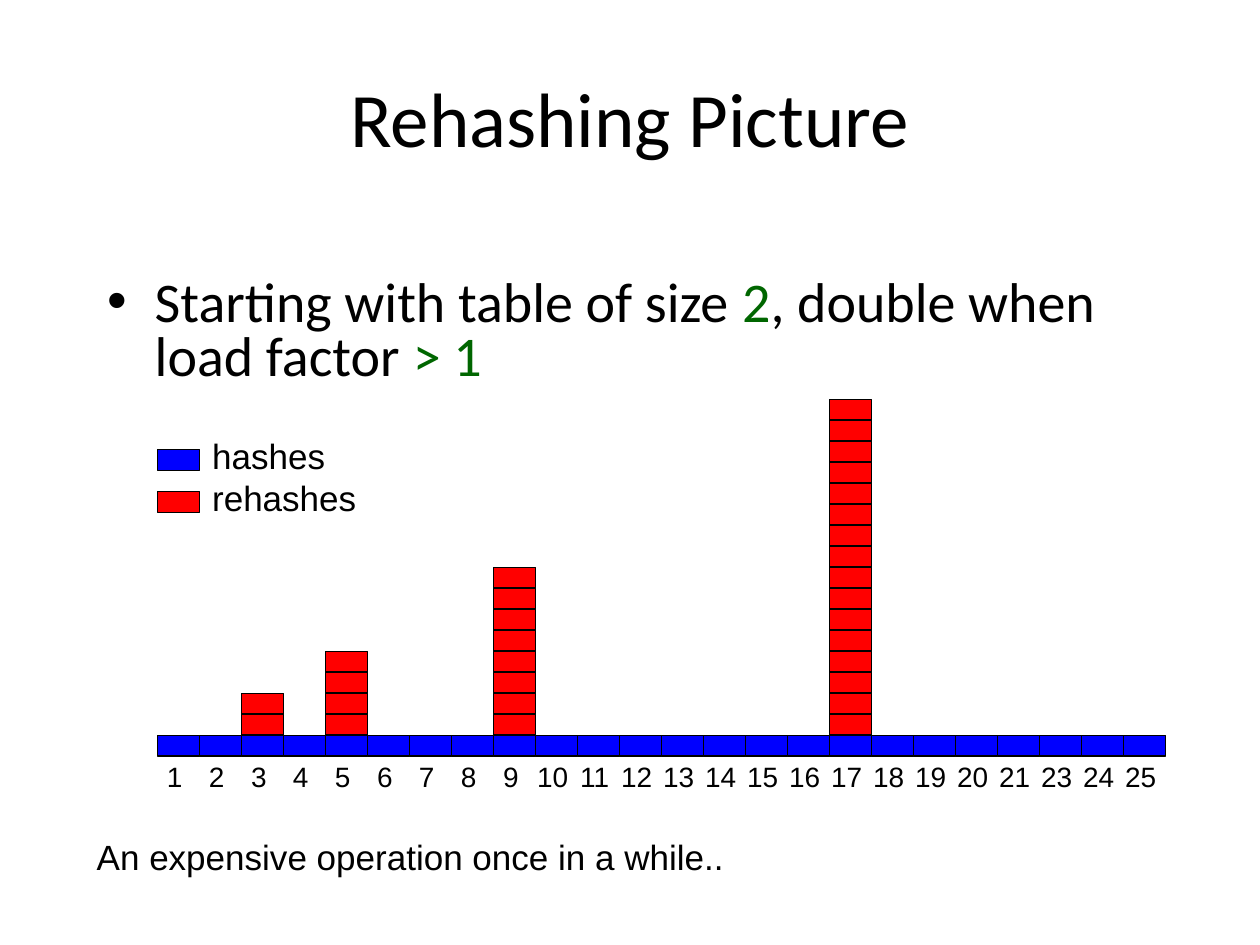
from lxml.etree import SubElement
from pptx import Presentation
from pptx.dml.color import RGBColor
from pptx.enum.shapes import MSO_SHAPE
from pptx.enum.text import MSO_ANCHOR, PP_ALIGN
from pptx.oxml.ns import qn
from pptx.util import Cm, Pt

BLACK = RGBColor(0x00, 0x00, 0x00)
BLUE = RGBColor(0x00, 0x00, 0xFF)
RED = RGBColor(0xFF, 0x00, 0x00)
GREEN = RGBColor(0x00, 0x66, 0x00)

INSERTS = 24
CELL_WIDTH = Cm(20.32) // INSERTS
CELL_HEIGHT = CELL_WIDTH // 2
TABLE_SIZES = (2, 4, 8, 16)
LABELS = [number for number in range(1, 26) if number != 22]


def set_font(font, name, size, color=BLACK):
    font.name = name
    font.size = Pt(size)
    font.color.rgb = color


def add_text_box(page, left, top, width, height):
    frame = page.shapes.add_textbox(left, top, width, height).text_frame
    frame.word_wrap = True
    return frame


def add_cell(page, left, top, color):
    cell = page.shapes.add_shape(
        MSO_SHAPE.RECTANGLE, left, top, CELL_WIDTH, CELL_HEIGHT)
    cell.shadow.inherit = False
    cell.fill.solid()
    cell.fill.fore_color.rgb = color
    cell.line.color.rgb = BLACK
    cell.line.width = Pt(0.75)


def place_title(page, left, top, width, height):
    title = page.shapes.title
    title.left, title.top, title.width, title.height = left, top, width, height
    title.text_frame.text = "Rehashing Picture"
    title.text_frame.vertical_anchor = MSO_ANCHOR.MIDDLE
    para = title.text_frame.paragraphs[0]
    para.alignment = PP_ALIGN.CENTER
    set_font(para.font, "Calibri", 44)


def add_statement(page, left, top, width, height):
    para = add_text_box(page, left, top, width, height).paragraphs[0]
    # Hanging bullet
    properties = para._p.get_or_add_pPr()
    properties.set("marL", str(Cm(0.95)))
    properties.set("indent", str(-Cm(0.95)))
    SubElement(properties, qn("a:buFont"), typeface="Arial")
    SubElement(properties, qn("a:buChar"), char="•")
    para.line_spacing = 0.8
    for text, color in (("Starting with table of size ", BLACK), ("2", GREEN),
                        (", double when load factor ", BLACK), ("> 1", GREEN)):
        span = para.add_run()
        span.text = text
        set_font(span.font, "Calibri", 32, color)


def add_axis_labels(page, left, top):
    frame = add_text_box(page, left, top, CELL_WIDTH * INSERTS, Cm(0.94))
    frame.margin_left = frame.margin_right = 0
    para = frame.paragraphs[0]
    # One centred tab stop under each cell
    stops = SubElement(para._p.get_or_add_pPr(), qn("a:tabLst"))
    for index in range(INSERTS):
        middle = CELL_WIDTH * index + CELL_WIDTH // 2 - Cm(0.08)
        SubElement(stops, qn("a:tab"), pos=str(middle), algn="ctr")
    para.text = "".join(f"\t{number}" for number in LABELS)
    set_font(para.font, "Arial", 16)


def add_cost_diagram(page, left, baseline):
    # One hash for every insert
    for index in range(INSERTS):
        add_cell(page, left + CELL_WIDTH * index, baseline, BLUE)
    add_axis_labels(page, left, baseline + Cm(0.37))
    # A full table of n entries is rehashed by the insert after it
    for size in TABLE_SIZES:
        for level in range(1, size + 1):
            add_cell(page, left + CELL_WIDTH * size,
                     baseline - CELL_HEIGHT * level, RED)


def add_legend(page, left, top):
    frame = add_text_box(page, left + CELL_WIDTH, top, Cm(3.8), Cm(1.96))
    frame.word_wrap = False
    for index, (name, color) in enumerate((("hashes", BLUE), ("rehashes", RED))):
        add_cell(page, left, top + Cm(0.42) + CELL_WIDTH * index, color)
        para = frame.paragraphs[0] if index == 0 else frame.add_paragraph()
        para.text = name
        para.alignment = PP_ALIGN.LEFT
        set_font(para.font, "Arial", 20)


def add_remark(page, left, top, width, height):
    para = add_text_box(page, left, top, width, height).paragraphs[0]
    para.text = "An expensive operation once in a while.."
    set_font(para.font, "Arial", 20)


def main():
    deck = Presentation()
    deck.slide_width, deck.slide_height = Cm(25.4), Cm(19.05)
    page = deck.slides.add_slide(deck.slide_layouts.get_by_name("Title Only"))
    place_title(page, Cm(1.27), Cm(0.76), Cm(22.86), Cm(3.18))
    add_statement(page, Cm(1.92), Cm(5.52), Cm(21.6), Cm(2.54))
    add_cost_diagram(page, Cm(3.18), Cm(14.82))
    add_legend(page, Cm(3.18), Cm(8.64))
    add_remark(page, Cm(1.7), Cm(16.71), Cm(18.85), Cm(1.09))
    deck.save("out.pptx")


if __name__ == "__main__":
    main()
